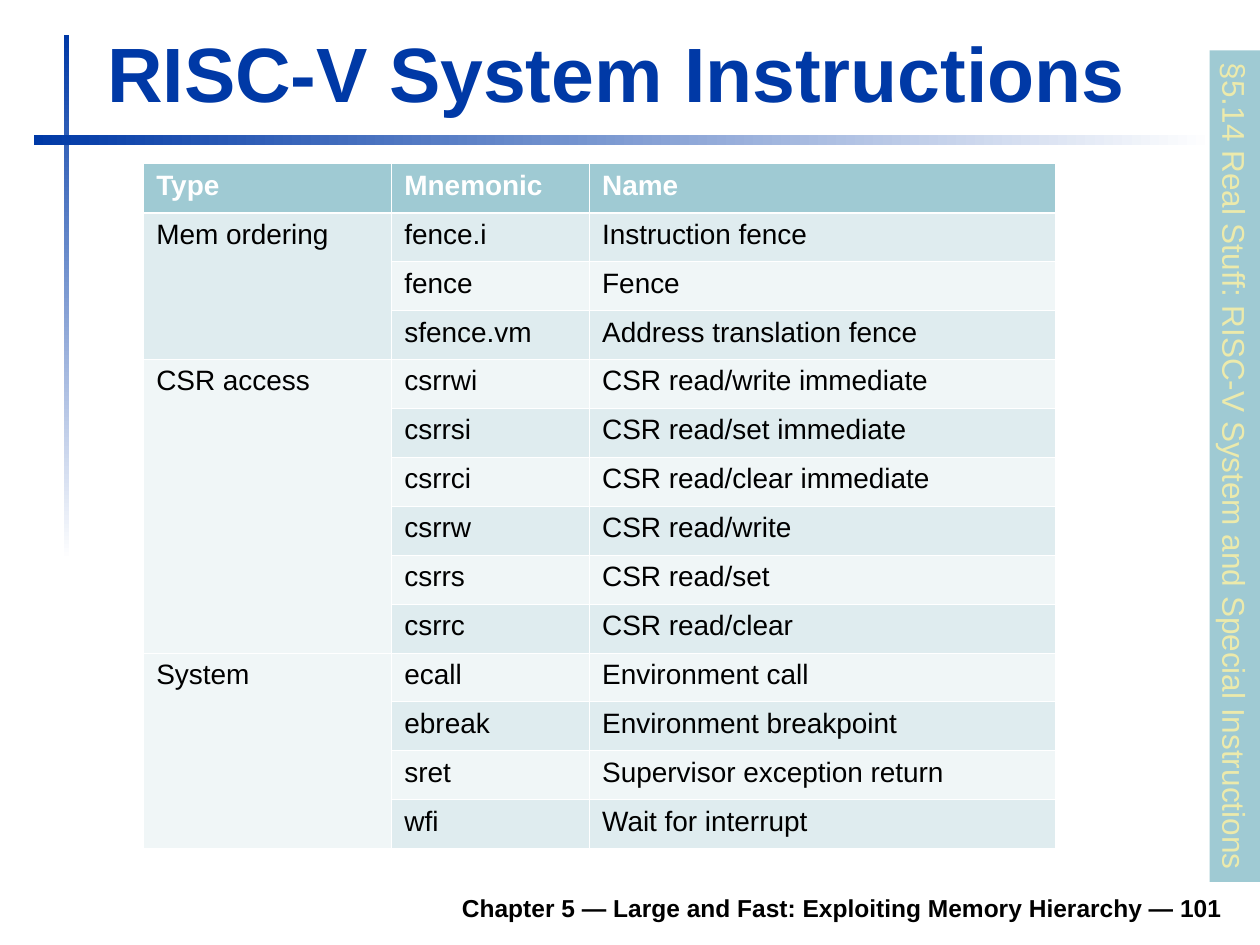
from lxml.etree import SubElement
from pptx import Presentation
from pptx.dml.color import RGBColor
from pptx.enum.shapes import MSO_SHAPE
from pptx.enum.text import MSO_ANCHOR, MSO_AUTO_SIZE, PP_ALIGN
from pptx.oxml import parse_xml
from pptx.oxml.ns import nsdecls, qn
from pptx.util import Inches, Pt

BLUE, TEAL, YELLOW = "0039A6", "9FCAD3", "ECEAAC"
WHITE, BLACK = "FFFFFF", "000000"
BANDS = ("F0F6F7", "DFECEF")  # even rows, odd rows
COLUMN_WIDTHS = (1.97, 1.57, 3.7)
HEADINGS = ("Type", "Mnemonic", "Name")
INSTRUCTIONS = {
    "Mem ordering": [
        ("fence.i", "Instruction fence"),
        ("fence", "Fence"),
        ("sfence.vm", "Address translation fence"),
    ],
    "CSR access": [
        ("csrrwi", "CSR read/write immediate"),
        ("csrrsi", "CSR read/set immediate"),
        ("csrrci", "CSR read/clear immediate"),
        ("csrrw", "CSR read/write"),
        ("csrrs", "CSR read/set"),
        ("csrrc", "CSR read/clear"),
    ],
    "System": [
        ("ecall", "Environment call"),
        ("ebreak", "Environment breakpoint"),
        ("sret", "Supervisor exception return"),
        ("wfi", "Wait for interrupt"),
    ],
}


def color(value):
    return RGBColor.from_string(value)


def write(frame, text, size, ink, bold=False, align=PP_ALIGN.LEFT):
    para = frame.paragraphs[0]
    para.alignment = align
    span = para.add_run()
    span.text = text
    for name, value in {"name": "Arial", "size": Pt(size), "bold": bold}.items():
        setattr(span.font, name, value)
    span.font.color.rgb = color(ink)


def add_rectangle(page, left, top, width, height):
    shape = page.shapes.add_shape(
        MSO_SHAPE.RECTANGLE, Inches(left), Inches(top), Inches(width), Inches(height))
    shape.shadow.inherit = False
    shape.line.fill.background()
    return shape


def add_fading_bar(page, left, top, width, height, angle):
    fill = add_rectangle(page, left, top, width, height).fill
    fill.gradient()
    fill.gradient_angle = angle
    for stop, shade in zip(fill.gradient_stops, (BLUE, WHITE)):
        stop.color.rgb = color(shade)


def set_title(page, text):
    title = page.shapes.title
    title.left, title.top = Inches(0.75), Inches(0.16)
    title.width, title.height = Inches(9.03), Inches(0.83)
    frame = title.text_frame
    frame.vertical_anchor = MSO_ANCHOR.BOTTOM
    frame.auto_size = MSO_AUTO_SIZE.SHAPE_TO_FIT_TEXT
    write(frame, text, 44, BLUE, bold=True)


def add_footer(page, text):
    box = page.shapes.add_textbox(Inches(1.85), Inches(6.98), Inches(7.95), Inches(0.39))
    frame = box.text_frame
    frame.word_wrap = True
    frame.vertical_anchor = MSO_ANCHOR.BOTTOM
    write(frame, text, 14, BLACK, bold=True, align=PP_ALIGN.RIGHT)


def add_section_tab(page, text):
    shape = add_rectangle(page, 6.5, 3.5, 6.6, 0.4)
    shape.rotation = 90
    shape.fill.solid()
    shape.fill.fore_color.rgb = color(TEAL)
    frame = shape.text_frame
    frame.word_wrap = False
    frame.auto_size = MSO_AUTO_SIZE.SHAPE_TO_FIT_TEXT
    frame.vertical_anchor = MSO_ANCHOR.TOP
    write(frame, text, 18, YELLOW)


def set_borders(cell, widths):
    properties = cell._tc.get_or_add_tcPr()
    for index, (side, width) in enumerate(widths.items()):
        line = parse_xml(f'<a:{side} {nsdecls("a")} w="{Pt(width)}"/>')
        fill = SubElement(line, qn("a:solidFill"))
        SubElement(fill, qn("a:srgbClr"), val=WHITE)
        properties.insert(index, line)


def add_instruction_table(page):
    rows = [HEADINGS]
    groups = []  # first and last row of each type
    for kind, entries in INSTRUCTIONS.items():
        groups.append((len(rows), len(rows) + len(entries) - 1))
        rows += [("" if i else kind, *entry) for i, entry in enumerate(entries)]

    table = page.shapes.add_table(
        len(rows), len(HEADINGS), Inches(1.14), Inches(1.3),
        Inches(sum(COLUMN_WIDTHS)), Inches(5.44)).table
    for column, width in zip(table.columns, COLUMN_WIDTHS):
        column.width = Inches(width)

    for r, texts in enumerate(rows):
        header = r == 0
        for c, text in enumerate(texts):
            cell = table.cell(r, c)
            cell.fill.solid()
            cell.fill.fore_color.rgb = color(TEAL if header else BANDS[r % 2])
            # A thicker rule parts the header from the body
            set_borders(cell, {"lnL": 0.45, "lnR": 0.45,
                               "lnT": 1.47 if r == 1 else 0.45,
                               "lnB": 1.47 if header else 0.45})
            if text:
                write(cell.text_frame, text, 16, WHITE if header else BLACK, bold=header)
    for first, last in groups:
        table.cell(first, 0).merge(table.cell(last, 0))


def main():
    deck = Presentation()
    deck.slide_width, deck.slide_height = Inches(10), Inches(7.5)
    page = deck.slides.add_slide(deck.slide_layouts[5])

    # Crossed bars beside and below the title
    add_fading_bar(page, 0.51, 0.28, 0.04, 4.17, 270)
    add_fading_bar(page, 0.27, 1.07, 9.37, 0.08, 0)

    # Title, footer and section tab
    set_title(page, "RISC-V System Instructions")
    add_footer(page, "Chapter 5 — Large and Fast: Exploiting Memory Hierarchy — 101")
    add_section_tab(page, "§5.14 Real Stuff: RISC-V System and Special Instructions")

    # Instructions grouped by type
    add_instruction_table(page)
    deck.save("out.pptx")


if __name__ == "__main__":
    main()
